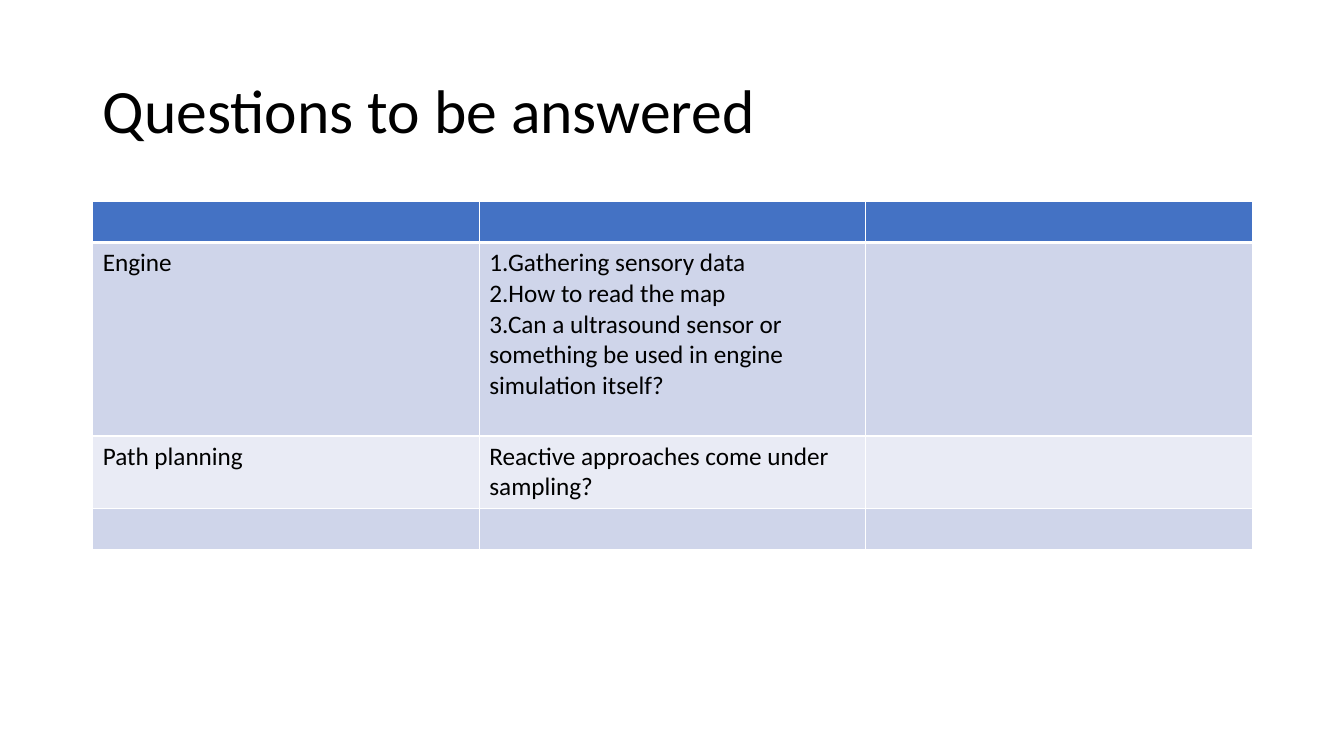
import pptx
import pptx.util
import pptx.dml.color
import pptx.enum.text
import pptx.oxml.ns
import lxml.etree

Inches = pptx.util.Inches
Pt = pptx.util.Pt
FONT = "Calibri"
HUES = {"ink": "000000", "head": "4472C4", "dark": "CFD5EA",
        "light": "E9EBF5", "line": "FFFFFF"}
ROWS = [
    (0.4, "head", ["", "", ""]),
    (1.92, "dark", ["Engine", "1.Gathering sensory data\n2.How to read the map\n"
                    "3.Can a ultrasound sensor or something be used in engine "
                    "simulation itself?", ""]),
    (0.72, "light", ["Path planning",
                     "Reactive approaches come under sampling?", ""]),
    (0.4, "dark", ["", "", ""]),
]


def tint(name):
    """Return the named colour."""
    return pptx.dml.color.RGBColor.from_string(HUES[name])


def write(frame, text, size):
    """Fill a text frame with one paragraph per line of text."""
    for i, line in enumerate(text.split("\n")):
        para = frame.paragraphs[0] if i == 0 else frame.add_paragraph()
        para.alignment = pptx.enum.text.PP_ALIGN.LEFT
        para.font.size = Pt(size)
        if line:
            run = para.add_run()
            run.text = line
            run.font.name = FONT
            run.font.size = Pt(size)
            run.font.bold = False
            run.font.color.rgb = tint("ink")


def edge(cell, sides):
    """Draw cell borders; sides maps L, R, T and B to points."""
    qn = pptx.oxml.ns.qn
    props = cell._tc.get_or_add_tcPr()
    for i, side in enumerate("LRTB"):
        line = lxml.etree.Element(qn("a:ln" + side), w=str(Pt(sides[side])))
        fill = lxml.etree.SubElement(line, qn("a:solidFill"))
        lxml.etree.SubElement(fill, qn("a:srgbClr"), val=HUES["line"])
        props.insert(i, line)


def title(slide, text, left, top, width, height):
    """Place and format the title."""
    shape = slide.shapes.title
    shape.left, shape.top = Inches(left), Inches(top)
    shape.width, shape.height = Inches(width), Inches(height)
    frame = shape.text_frame
    frame.word_wrap = True
    frame.vertical_anchor = pptx.enum.text.MSO_ANCHOR.MIDDLE
    write(frame, text, 44)
    frame.paragraphs[0].line_spacing = 0.9


def grid(slide, rows, left, top, width):
    """Place the question table with equal columns."""
    count = len(rows[0][2])
    high = sum(row[0] for row in rows)
    table = slide.shapes.add_table(
        len(rows), count, Inches(left), Inches(top),
        Inches(width), Inches(high)).table
    for col in table.columns:
        col.width = Inches(width / count)
    for r, (tall, hue, texts) in enumerate(rows):
        table.rows[r].height = Inches(tall)
        for c, text in enumerate(texts):
            cell = table.cell(r, c)
            cell.fill.solid()
            cell.fill.fore_color.rgb = tint(hue)
            write(cell.text_frame, text, 18)
            edge(cell, {"L": 1, "R": 1, "T": 3 if r == 1 else 1,
                        "B": 3 if r == 0 else 1})


def main():
    """Build and save the slide."""
    deck = pptx.Presentation()
    deck.slide_width, deck.slide_height = Inches(13.33), Inches(7.5)
    slide = deck.slides.add_slide(deck.slide_layouts[5])
    title(slide, "Questions to be answered", 0.92, 0.4, 11.5, 1.45)
    grid(slide, ROWS, 0.92, 2, 11.5)
    deck.save("out.pptx")


main()
